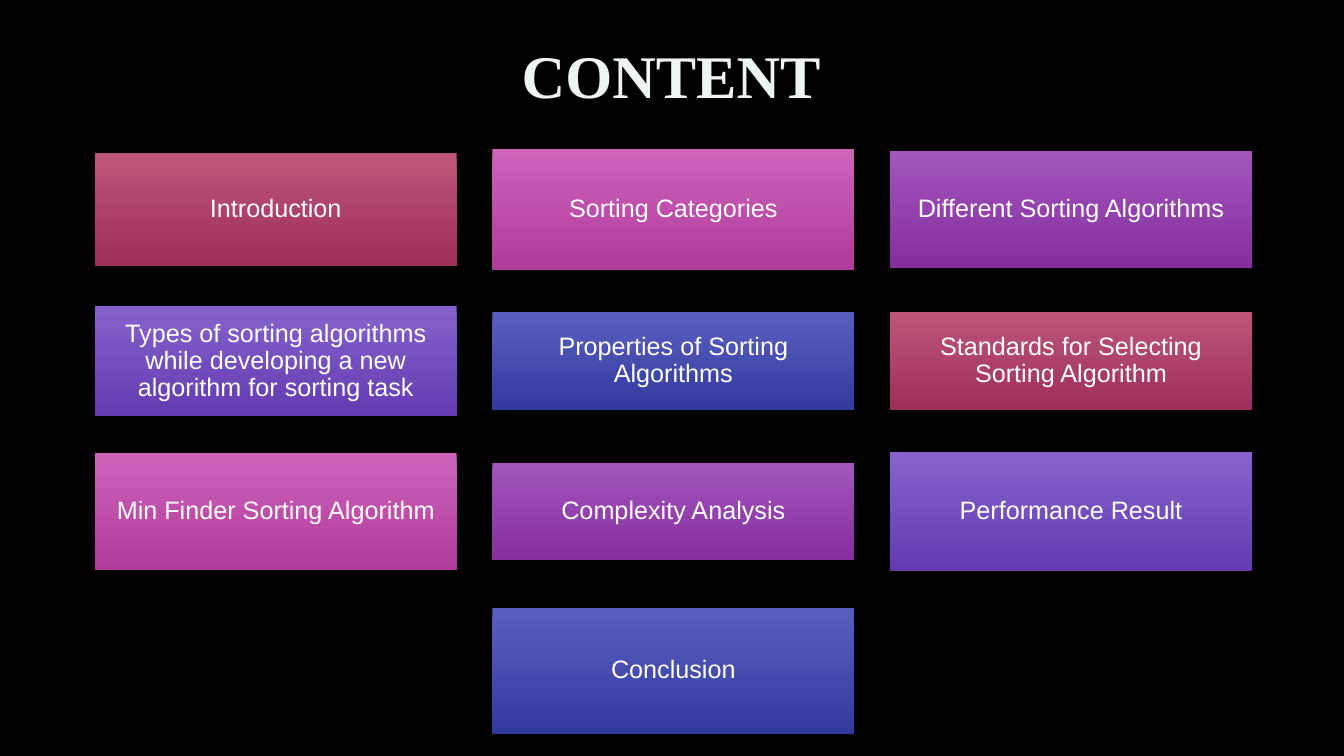
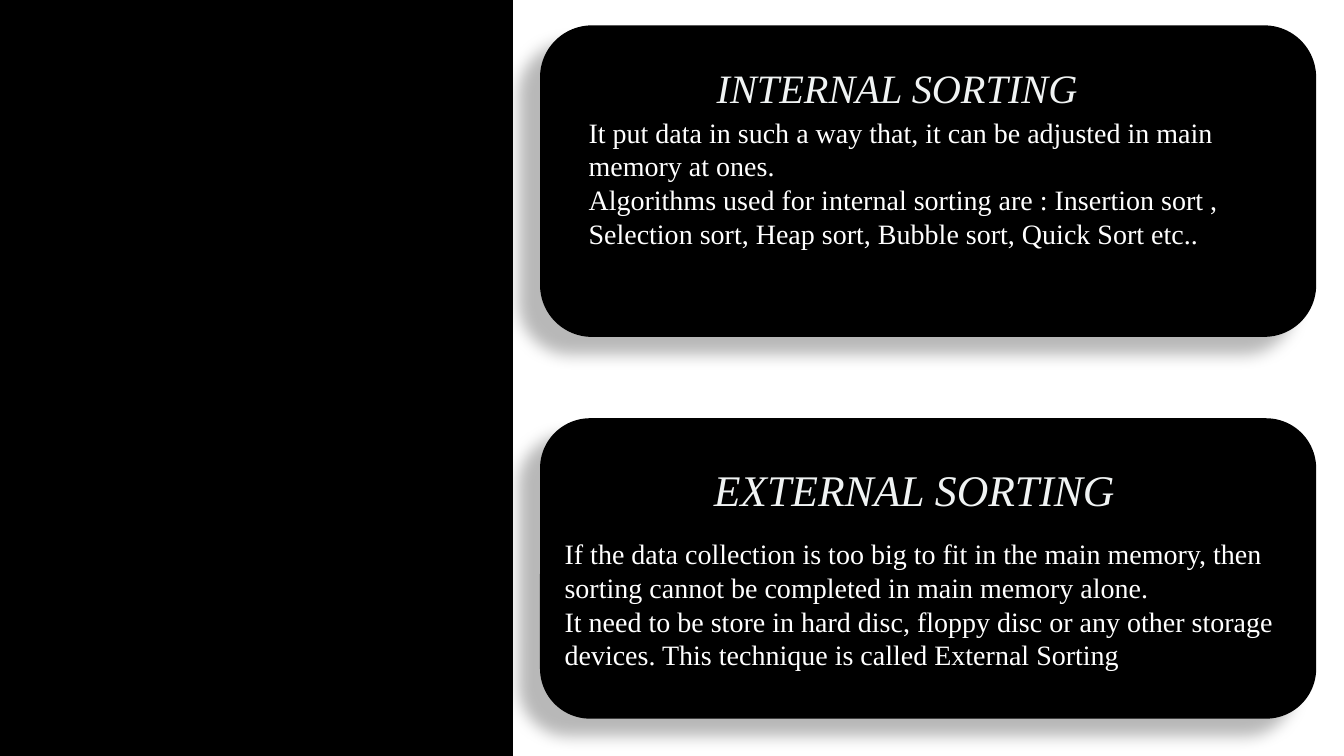
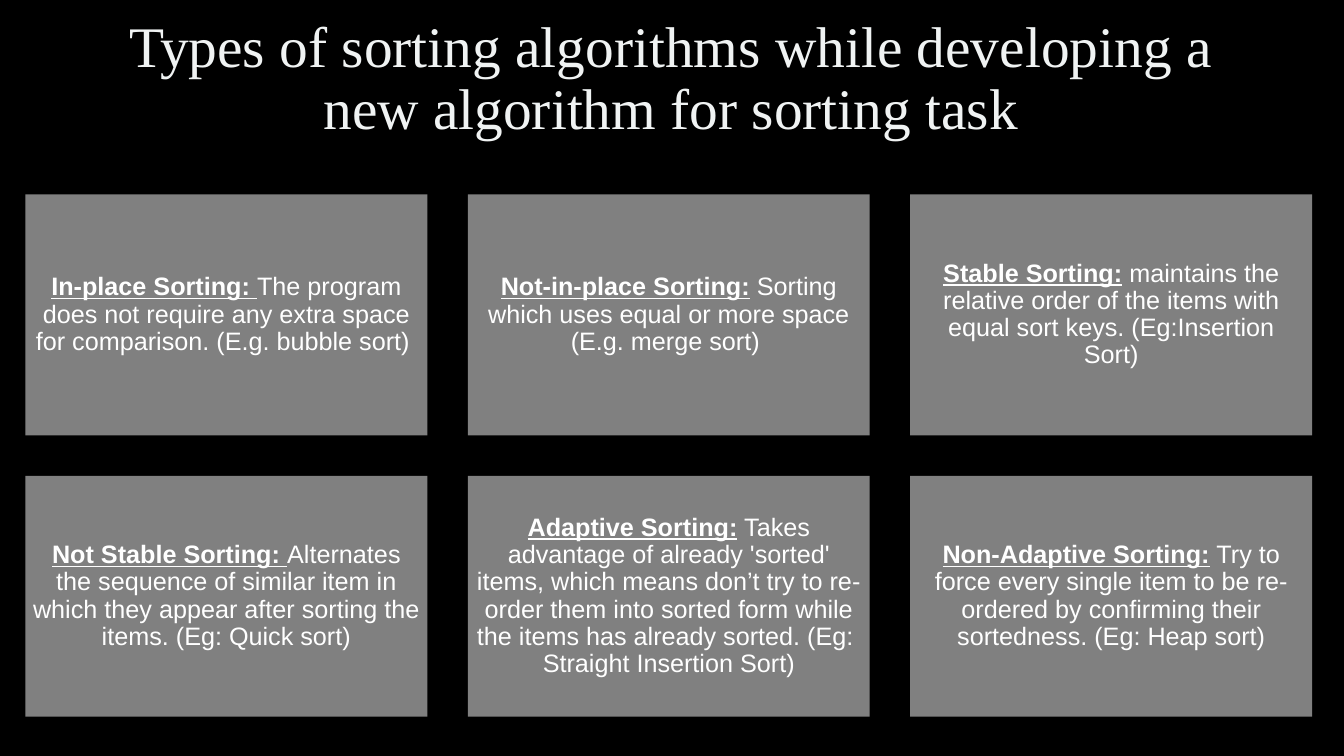
from dataclasses import dataclass

from lxml.etree import SubElement
from pptx import Presentation
from pptx.dml.color import RGBColor
from pptx.enum.shapes import MSO_SHAPE as Preset
from pptx.enum.text import MSO_ANCHOR as Anchor, MSO_AUTO_SIZE as AutoSize, PP_ALIGN as Align
from pptx.oxml.ns import qn
from pptx.util import Cm, Pt

BLACK = RGBColor(0x00, 0x00, 0x00)
WHITE = RGBColor(0xFF, 0xFF, 0xFF)
GRAY = RGBColor(0x80, 0x80, 0x80)
TITLE_COLOR = RGBColor(0xF0, 0xF3, 0xF3)
GRADIENTS = [
    (RGBColor(0xBE, 0x56, 0x7A), RGBColor(0x9D, 0x2E, 0x5A)),
    (RGBColor(0xCE, 0x63, 0xBA), RGBColor(0xAF, 0x3B, 0x9A)),
    (RGBColor(0xA3, 0x56, 0xBE), RGBColor(0x84, 0x2E, 0x9D)),
    (RGBColor(0x85, 0x63, 0xCE), RGBColor(0x63, 0x3B, 0xAF)),
    (RGBColor(0x59, 0x5F, 0xBF), RGBColor(0x32, 0x3A, 0x9F)),
]
SERIF = "Times New Roman"
SANS = "Arial"
COLUMNS = 3


@dataclass
class Box:
    """A rectangle in centimetres."""
    left: float
    top: float
    width: float
    height: float

    def lengths(self) -> tuple:
        return Cm(self.left), Cm(self.top), Cm(self.width), Cm(self.height)


@dataclass
class Topic:
    text: str
    height: float


@dataclass
class SortingType:
    term: str
    meaning: str


@dataclass
class Panel:
    box: Box
    heading: str
    heading_box: Box
    heading_size: float
    paragraphs: list[str]
    margin_left: float
    margin_top: float


TOPICS = [
    Topic("Introduction", 2.84),
    Topic("Sorting Categories", 3.05),
    Topic("Different Sorting Algorithms", 2.97),
    Topic("Types of sorting algorithms while developing a new algorithm for sorting task", 2.77),
    Topic("Properties of Sorting Algorithms", 2.49),
    Topic("Standards for Selecting Sorting Algorithm", 2.49),
    Topic("Min Finder Sorting Algorithm", 2.97),
    Topic("Complexity Analysis", 2.46),
    Topic("Performance Result", 3.02),
    Topic("Conclusion", 3.18),
]
TOPIC_ROW_CENTERS = [5.28, 9.1, 12.89, 16.9]

PANELS = [
    Panel(
        Box(13.61, 0.64, 19.56, 7.85),
        "INTERNAL SORTING", Box(13.72, 1.55, 17.78, 1.45), 28.8,
        ["It put data in such a way that, it can be adjusted in main memory at ones.",
         "Algorithms used for internal sorting are : Insertion sort , Selection sort, "
         "Heap sort, Bubble sort, Quick Sort etc.."],
        margin_left=0.84, margin_top=1.88),
    Panel(
        Box(13.61, 10.54, 19.56, 7.57),
        "EXTERNAL SORTING", Box(14.15, 11.48, 17.78, 1.85), 31.2,
        ["If the data collection is too big to fit in the main memory, then sorting "
         "cannot be completed in main memory alone.",
         "It need to be store in hard disc, floppy disc or any other storage devices. "
         "This technique is called External Sorting"],
        margin_left=0.25, margin_top=2.62),
]

SORTING_TYPES = [
    SortingType("In-place Sorting: ",
                "The program does not require any extra space for comparison. (E.g. bubble sort) "),
    SortingType("Not-in-place Sorting:",
                " Sorting which uses equal or more space (E.g. merge sort) "),
    SortingType("Stable Sorting:",
                " maintains the relative order of the items with equal sort keys. "
                "(Eg:Insertion Sort)"),
    SortingType("Not Stable Sorting: ",
                "Alternates the sequence of similar item in which they appear after sorting "
                "the items. (Eg: Quick sort)"),
    SortingType("Adaptive Sorting:",
                " Takes advantage of already 'sorted' items, which means don’t try to re-order "
                "them into sorted form while the items has already sorted. "
                "(Eg:  Straight Insertion Sort)"),
    SortingType("Non-Adaptive Sorting:",
                " Try to force every single item to be re-ordered by confirming their "
                "sortedness. (Eg: Heap sort)"),
]


def format_font(font, name: str, size: float, color: RGBColor) -> None:
    font.name = name
    font.size = Pt(size)
    font.color.rgb = color


def write_title(shape, text: str, box: Box, size: float,
                bold: bool = False, italic: bool = False) -> None:
    shape.left, shape.top, shape.width, shape.height = box.lengths()
    frame = shape.text_frame
    frame.text = text
    frame.word_wrap = True
    frame.auto_size = AutoSize.NONE
    frame.vertical_anchor = Anchor.MIDDLE
    paragraph = frame.paragraphs[0]
    paragraph.alignment = Align.CENTER
    paragraph.line_spacing = 0.9
    font = paragraph.runs[0].font
    format_font(font, SERIF, size, TITLE_COLOR)
    font.bold = bold
    font.italic = italic


def add_filled_shape(slide, preset: Preset, box: Box, color: RGBColor):
    shape = slide.shapes.add_shape(preset, *box.lengths())
    shape.shadow.inherit = False
    shape.fill.solid()
    shape.fill.fore_color.rgb = color
    shape.line.fill.background()
    return shape


def apply_gradient(shape, colors: tuple[RGBColor, RGBColor]) -> None:
    """Shade from the first colour at the top to the second at the bottom."""
    shape.fill.gradient()
    shape.fill.gradient_angle = 270
    for position, (stop, color) in enumerate(zip(shape.fill.gradient_stops, colors)):
        stop.position = position
        stop.color.rgb = color


def add_soft_shadow(shape) -> None:
    effects = shape.element.spPr.find(qn("a:effectLst"))
    shadow = SubElement(effects, qn("a:outerShdw"), blurRad=str(Pt(11.8)),
                        dist=str(Pt(19.7)), dir=str(141 * 60000), rotWithShape="0")
    color = SubElement(shadow, qn("a:srgbClr"), val=str(BLACK))
    SubElement(color, qn("a:alpha"), val="28000")


def add_card(slide, box: Box, texts: list[str], color: RGBColor = GRAY):
    """Add a rectangle whose one centred paragraph has a run for each text."""
    card = add_filled_shape(slide, Preset.RECTANGLE, box, color)
    frame = card.text_frame
    frame.word_wrap = True
    frame.vertical_anchor = Anchor.MIDDLE
    frame.margin_left = frame.margin_right = Cm(0.18)
    frame.margin_top = frame.margin_bottom = Cm(0.18)
    paragraph = frame.paragraphs[0]
    paragraph.alignment = Align.CENTER
    paragraph.line_spacing = 0.9
    for text in texts:
        run = paragraph.add_run()
        run.text = text
        format_font(run.font, SANS, 18, WHITE)
    return card


def add_panel(slide, panel: Panel) -> None:
    shape = add_filled_shape(slide, Preset.ROUNDED_RECTANGLE, panel.box, BLACK)
    add_soft_shadow(shape)
    frame = shape.text_frame
    frame.text = "\n".join(panel.paragraphs)
    frame.word_wrap = True
    frame.vertical_anchor = Anchor.TOP
    frame.margin_left = Cm(panel.margin_left)
    frame.margin_top = Cm(panel.margin_top)
    for paragraph in frame.paragraphs:
        paragraph.alignment = Align.LEFT
        format_font(paragraph.runs[0].font, SERIF, 20, WHITE)


def build_content(slide) -> None:
    write_title(slide.shapes.title, "CONTENT", Box(2.54, 0.56, 28.75, 2.84), 43.2, bold=True)
    for index, topic in enumerate(TOPICS):
        row, column = divmod(index, COLUMNS)
        if index == len(TOPICS) - 1:
            column = 1
        top = TOPIC_ROW_CENTERS[row] - topic.height / 2
        box = Box(2.39 + 10.02 * column, top, 9.12, topic.height)
        card = add_card(slide, box, [topic.text])
        apply_gradient(card, GRADIENTS[index % len(GRADIENTS)])


def build_categories(slide) -> None:
    add_filled_shape(slide, Preset.RECTANGLE, Box(12.93, 0, 20.94, 19.05), WHITE)
    for panel in PANELS:
        add_panel(slide, panel)
    title = slide.shapes.title
    slide.shapes._spTree.append(title.element)  # bring the title in front of the panels
    second_heading = slide.shapes.add_textbox(*PANELS[1].heading_box.lengths())
    for shape, panel in zip((title, second_heading), PANELS):
        write_title(shape, panel.heading, panel.heading_box, panel.heading_size, italic=True)


def build_sorting_types(slide) -> None:
    write_title(slide.shapes.title,
                "Types of sorting algorithms while developing a new algorithm for sorting task",
                Box(2.54, 0.03, 28.75, 3.96), 41)
    for index, sorting_type in enumerate(SORTING_TYPES):
        row, column = divmod(index, COLUMNS)
        box = Box(0.64 + 11.15 * column, 4.9 + 7.09 * row, 10.13, 6.07)
        card = add_card(slide, box, [sorting_type.term, sorting_type.meaning])
        term_font = card.text_frame.paragraphs[0].runs[0].font
        term_font.bold = True
        term_font.underline = True


def main() -> None:
    presentation = Presentation()
    presentation.slide_width = Cm(33.87)
    presentation.slide_height = Cm(19.05)
    background = presentation.slide_master.background.fill
    background.solid()
    background.fore_color.rgb = BLACK
    title_only = presentation.slide_layouts.get_by_name("Title Only")
    for build in (build_content, build_categories, build_sorting_types):
        build(presentation.slides.add_slide(title_only))
    presentation.save("out.pptx")


if __name__ == "__main__":
    main()
